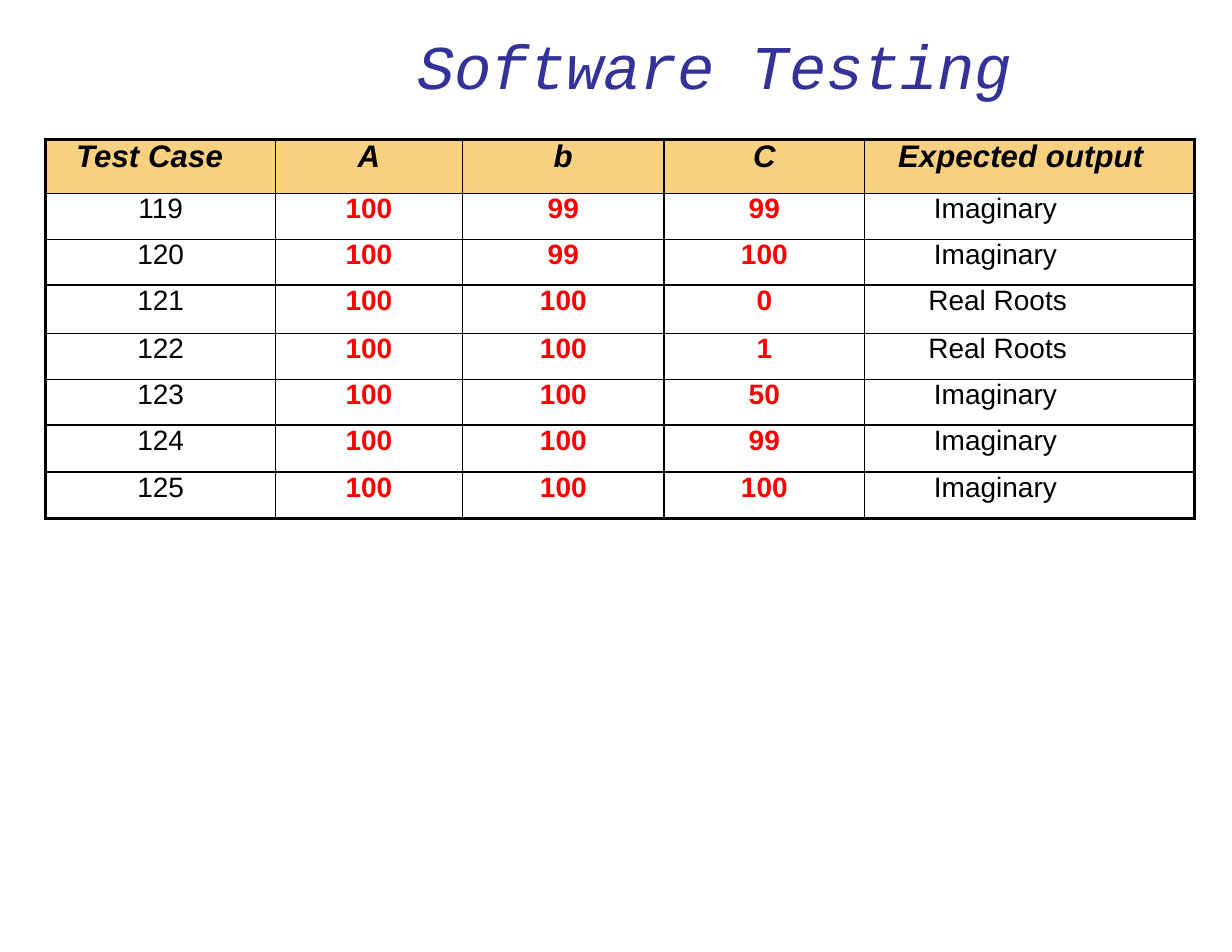
import pptx
import pptx.util
import pptx.dml.color
import pptx.enum.text
import pptx.oxml
import pptx.oxml.ns

Inch = pptx.util.Inches
Point = pptx.util.Pt
Align = pptx.enum.text.PP_ALIGN
Anchor = pptx.enum.text.MSO_ANCHOR

COLORS = {"title": "323299", "head": "F8D07F", "text": "000000", "input": "FF0000"}
COLS = [2.05, 1.67, 1.8, 1.79, 2.95]
ROWS = [0.48, 0.41, 0.41, 0.43, 0.41, 0.41, 0.42, 0.41]
THIN, THICK = 1, 2.25
INDENTS = {"Test Case": 0.27, "Expected output": 0.3, "Imaginary": 0.62, "Real Roots": 0.57}
CASES = [
    ("Test Case", "A", "b", "C", "Expected output"),
    ("119", "100", "99", "99", "Imaginary"),
    ("120", "100", "99", "100", "Imaginary"),
    ("121", "100", "100", "0", "Real Roots"),
    ("122", "100", "100", "1", "Real Roots"),
    ("123", "100", "100", "50", "Imaginary"),
    ("124", "100", "100", "99", "Imaginary"),
    ("125", "100", "100", "100", "Imaginary"),
]


def color(name):
    return pptx.dml.color.RGBColor.from_string(COLORS[name])


def write(frame, text, font, size, tone, bold=False, italic=False, indent=None, space=0):
    frame.text = text
    line = frame.paragraphs[0]
    line.alignment = Align.CENTER if indent is None else Align.LEFT
    if indent is not None:
        props = line._p.get_or_add_pPr()
        props.set("marL", str(Inch(indent)))
        props.set("indent", "0")
    run = line.runs[0]
    run.font.name, run.font.size = font, Point(size)
    run.font.bold, run.font.italic = bold, italic
    run.font.color.rgb = color(tone)
    run._r.get_or_add_rPr().set("spc", str(space))


def add_title(slide):
    title = slide.shapes.title
    title.left, title.top = Inch(0.83), 0
    title.width, title.height = Inch(9.16), Inch(0.91)
    frame = title.text_frame
    frame.margin_left = frame.margin_right = frame.margin_bottom = 0
    frame.margin_top = Inch(0.24)
    frame.vertical_anchor = Anchor.TOP
    frame.word_wrap = True
    frame.auto_size = pptx.enum.text.MSO_AUTO_SIZE.SHAPE_TO_FIT_TEXT
    write(frame, "Software Testing", "Courier New", 40, "title",
          italic=True, indent=2.9, space=-10)


def add_edges(cell, row, col):
    outer = {
        "lnL": col == 0,
        "lnR": col == len(COLS) - 1,
        "lnT": row == 0,
        "lnB": row == len(ROWS) - 1,
    }
    props = cell._tc.get_or_add_tcPr()
    for place, (tag, edge) in enumerate(outer.items()):
        width = Point(THICK if edge else THIN)
        props.insert(place, pptx.oxml.parse_xml(
            f'<a:{tag} {pptx.oxml.ns.nsdecls("a")} w="{width}"><a:solidFill>'
            f'<a:srgbClr val="{COLORS["text"]}"/></a:solidFill></a:{tag}>'))


def fill_cell(cell, row, col):
    text = CASES[row][col]
    head = row == 0
    value = not head and 0 < col < len(COLS) - 1
    cell.margin_left = cell.margin_right = cell.margin_top = cell.margin_bottom = 0
    cell.vertical_anchor = Anchor.TOP
    if head:
        cell.fill.solid()
        cell.fill.fore_color.rgb = color("head")
    else:
        cell.fill.background()
    write(cell.text_frame, text, "Arial", 20 if head else 18,
          "input" if value else "text", head or value, head,
          INDENTS.get(text), 5 if head else 0)
    add_edges(cell, row, col)


def add_cases(slide):
    table = slide.shapes.add_table(
        len(ROWS), len(COLS), Inch(0.41), Point(89.75),
        Inch(sum(COLS)), Inch(sum(ROWS))).table
    table.first_row = table.horz_banding = False
    for col, width in enumerate(COLS):
        table.columns[col].width = Inch(width)
    for row, height in enumerate(ROWS):
        table.rows[row].height = Inch(height)
        for col in range(len(COLS)):
            fill_cell(table.cell(row, col), row, col)


def main():
    deck = pptx.Presentation()
    deck.slide_width, deck.slide_height = Inch(11), Inch(8.5)
    slide = deck.slides.add_slide(deck.slide_layouts[5])
    add_title(slide)
    add_cases(slide)
    deck.save("out.pptx")


if __name__ == "__main__":
    main()
